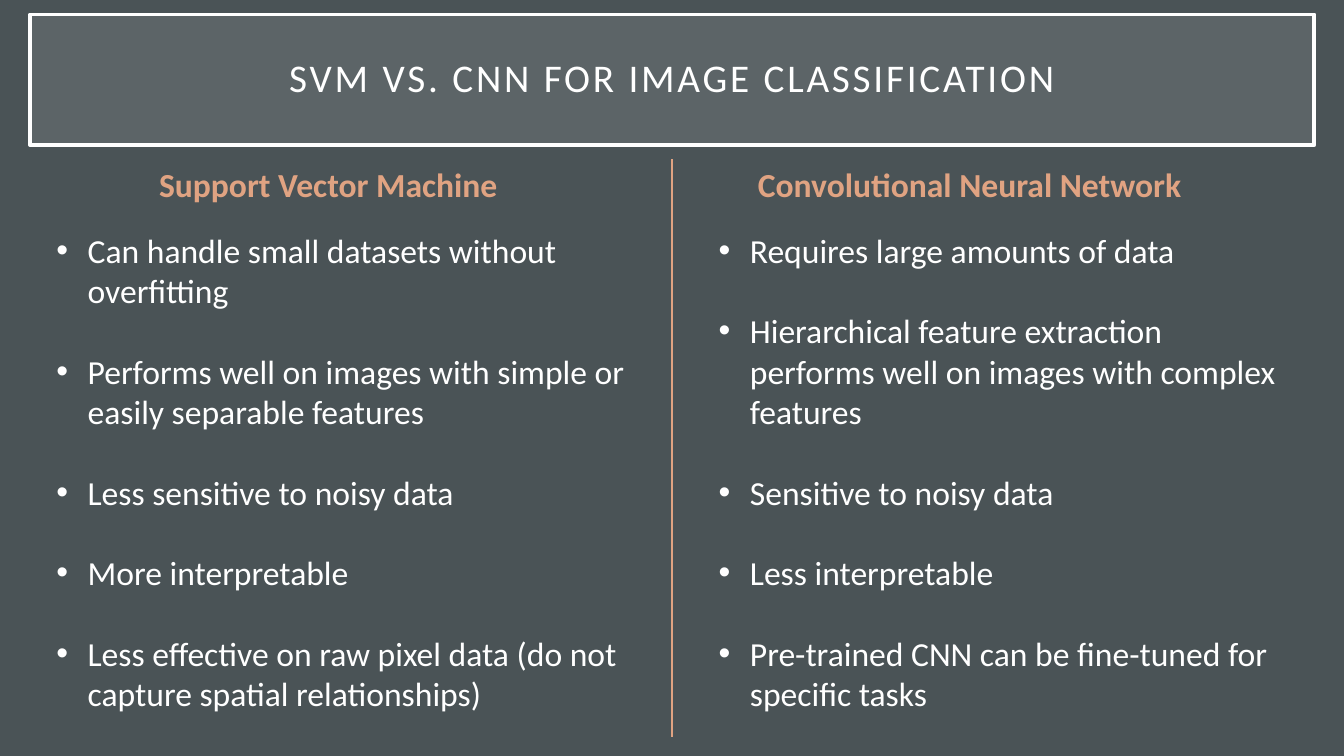
from lxml.etree import SubElement
from pptx import Presentation
from pptx.dml.color import RGBColor
from pptx.enum.shapes import MSO_CONNECTOR
from pptx.enum.text import MSO_ANCHOR, MSO_AUTO_SIZE, PP_ALIGN
from pptx.oxml.ns import qn
from pptx.util import Cm, Pt

COLORS = {"background": "4A5356", "text": "FFFFFF", "accent": "E0A382"}
FONT = "Calibri"
SLIDE_WIDTH, SLIDE_HEIGHT = 33.87, 19.05
BULLET_INDENT = Cm(0.79)

COLUMNS = [
    {
        "left": 1.17,
        "heading": "Support Vector Machine",
        "heading_offset": 2.59,
        "heading_width": 10.13,
        "points": [
            "Can handle small datasets without overfitting",
            "Performs well on images with simple or easily separable features",
            "Less sensitive to noisy data",
            "More interpretable",
            "Less effective on raw pixel data (do not capture spatial relationships)",
        ],
    },
    {
        "left": 17.86,
        "heading": "Convolutional Neural Network",
        "heading_offset": 0.99,
        "heading_width": 12.88,
        "points": [
            "Requires large amounts of data",
            "Hierarchical feature extraction performs well on images with complex features",
            "Sensitive to noisy data",
            "Less interpretable",
            "Pre-trained CNN can be fine-tuned for specific tasks",
        ],
    },
]


def rgb(name):
    return RGBColor.from_string(COLORS[name])


def write(paragraph, text, size=24, color="text", bold=False, align=PP_ALIGN.LEFT,
          space_before=0, line_spacing=None, tracking=None, bullet=None):
    """Fill a paragraph with one formatted run; tracking is in points."""
    paragraph.alignment = align
    paragraph.space_before = Pt(space_before)
    if line_spacing:
        paragraph.line_spacing = line_spacing
    if bullet:
        properties = paragraph._p.get_or_add_pPr()
        properties.set("marL", str(BULLET_INDENT))
        properties.set("indent", str(-BULLET_INDENT))
        SubElement(properties, qn("a:buFont"), typeface="Arial")
        SubElement(properties, qn("a:buChar"), char=bullet)
    run = paragraph.add_run()
    run.text = text
    font = run.font
    font.name, font.size, font.bold = FONT, Pt(size), bold
    font.color.rgb = rgb(color)
    if tracking:
        run._r.get_or_add_rPr().set("spc", str(tracking * 100))


def add_text_frame(slide, left, top, width, height):
    frame = slide.shapes.add_textbox(Cm(left), Cm(top), Cm(width), Cm(height)).text_frame
    frame.word_wrap = True
    return frame


def add_title(slide, text, left, top, width, height):
    title = slide.shapes.title
    title.left, title.top, title.width, title.height = map(Cm, (left, top, width, height))
    title.fill.solid()
    title.fill.fore_color.rgb = rgb("text")
    fill_color = title.fill._xPr.find(qn("a:solidFill"))[0]
    SubElement(fill_color, qn("a:alpha"), val="10000")
    title.line.color.rgb = rgb("text")
    title.line.width = Pt(2.5)
    frame = title.text_frame
    frame.word_wrap = True
    frame.auto_size = MSO_AUTO_SIZE.NONE
    frame.vertical_anchor = MSO_ANCHOR.MIDDLE
    frame.margin_left = frame.margin_right = Cm(0.5)
    frame.margin_top = frame.margin_bottom = Cm(0.5)
    write(frame.paragraphs[0], text, size=28, align=PP_ALIGN.CENTER,
          line_spacing=0.9, tracking=2)


def add_divider(slide, x, top, bottom):
    divider = slide.shapes.add_connector(
        MSO_CONNECTOR.STRAIGHT, Cm(x), Cm(top), Cm(x), Cm(bottom))
    divider.line.color.rgb = rgb("accent")
    divider.line.width = Pt(1.5)
    SubElement(divider._element.spPr, qn("a:effectLst"))


def add_column(slide, column, top, width, height):
    left = column["left"]
    heading = add_text_frame(slide, left + column["heading_offset"], top,
                             column["heading_width"], 1.27)
    write(heading.paragraphs[0], column["heading"], color="accent", bold=True)

    heading_drop = 1.65
    points = add_text_frame(slide, left, top + heading_drop, width, height - heading_drop)
    for index, point in enumerate(column["points"]):
        paragraph = points.add_paragraph() if index else points.paragraphs[0]
        write(paragraph, point, bullet="•", space_before=28.8 if index else 0)


def main():
    deck = Presentation()
    deck.slide_width, deck.slide_height = Cm(SLIDE_WIDTH), Cm(SLIDE_HEIGHT)
    slide = deck.slides.add_slide(deck.slide_layouts[5])
    slide.background.fill.solid()
    slide.background.fill.fore_color.rgb = rgb("background")

    add_title(slide, "SVM VS. CNN FOR IMAGE CLASSIFICATION", 0.76, 0.36, 32.36, 3.3)
    content_top = 4.01
    add_divider(slide, SLIDE_WIDTH / 2, content_top, 18.57)
    for column in COLUMNS:
        add_column(slide, column, content_top, 14.83, SLIDE_HEIGHT - content_top)
    deck.save("out.pptx")


if __name__ == "__main__":
    main()
